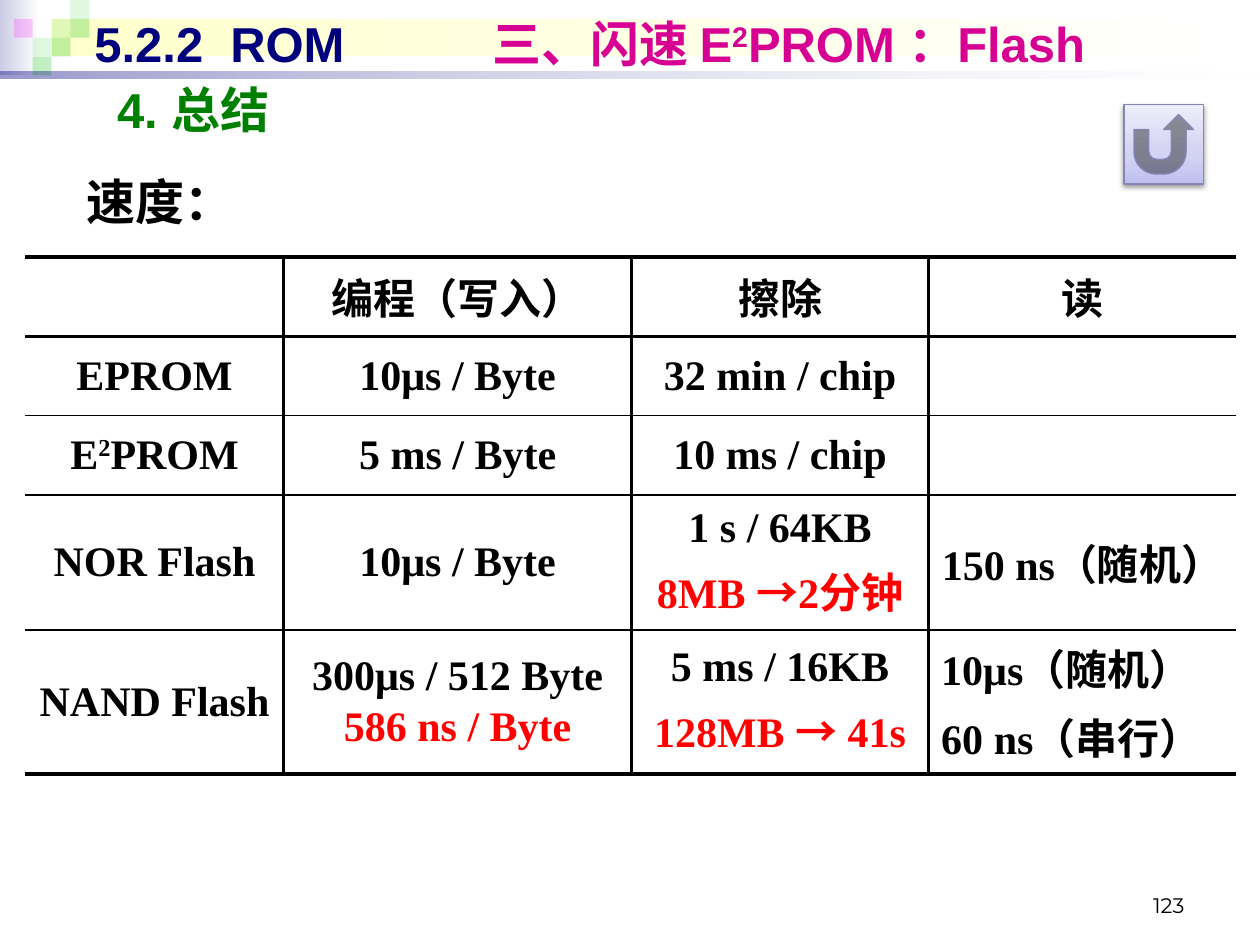
from dataclasses import dataclass
from lxml.etree import SubElement as Sub
from pptx import Presentation
from pptx.dml.color import RGBColor as Rgb
from pptx.enum.shapes import MSO_SHAPE as Kind
from pptx.enum.text import MSO_ANCHOR as Anchor, MSO_AUTO_SIZE as Fit, PP_ALIGN as Align
from pptx.oxml.ns import qn
from pptx.util import Cm, Pt


@dataclass(frozen=True)
class Theme:
    """Colours, fonts and type sizes."""
    black: str = "000000"
    white: str = "FFFFFF"
    navy: str = "00007D"
    pink: str = "D60093"
    green: str = "008000"
    red: str = "FF0000"
    lilac: str = "CCCCE6"
    cream: str = "FFFFCC"
    leaf: str = "33CC33"
    rose: str = "FF00FF"
    edge: str = "8686B6"
    sans: str = "Arial"
    serif: str = "Times New Roman"
    han: str = "Noto Sans CJK SC"
    digit: str = "Montserrat"
    head: int = 28
    body: int = 24
    small: int = 12
    thick: float = 2.25
    thin: float = 1


T = Theme()
HOT = {"color": T.red}
ARROW = {**HOT, "name": T.han}
UP = {"base": 30}


def tint(node, color, alpha=100):
    """Add a colour with its opacity to an XML node."""
    part = Sub(node, qn("a:srgbClr"), val=color)
    if alpha < 100:
        Sub(part, qn("a:alpha"), val=str(alpha * 1000))


def draw(slide, box, stops, angle=0, kind=Kind.RECTANGLE):
    """Draw a shape with a plain or gradient fill and no outline."""
    shape = slide.shapes.add_shape(kind, *map(Cm, box))
    shape.shadow.inherit = False
    shape.line.fill.background()
    props = shape._element.spPr
    if len(stops) == 1:
        fill = Sub(props, qn("a:solidFill"))
        tint(fill, *stops[0][1:])
    else:
        fill = Sub(props, qn("a:gradFill"))
        items = Sub(fill, qn("a:gsLst"))
        for pos, *color in stops:
            tint(Sub(items, qn("a:gs"), pos=str(pos * 1000)), *color)
        Sub(fill, qn("a:lin"), ang=str(angle * 60000), scaled="0")
    props.insert(2, fill)
    return shape


def style(run, name, size, color, bold=True, base=0):
    """Format one run of text."""
    for key, val in {"name": name, "size": Pt(size), "bold": bold}.items():
        setattr(run.font, key, val)
    run.font.color.rgb = Rgb.from_string(color)
    props = run._r.get_or_add_rPr()
    Sub(props, qn("a:ea"), typeface=T.han)
    if base:
        props.set("baseline", str(base * 1000))


def write(frame, paras, look, align=Align.LEFT, gap=0):
    """Fill a text frame with paragraphs of (text, changes) spans."""
    for i, spans in enumerate(paras):
        para = frame.add_paragraph() if i else frame.paragraphs[0]
        para.alignment = align
        if i:
            para.space_before = Pt(gap)
        for text, change in spans:
            run = para.add_run()
            run.text = text
            style(run, **{**look, **change})


def frame_of(shape, anchor):
    """Set up the text frame of a shape."""
    frame = shape.text_frame
    vals = {"word_wrap": True, "auto_size": Fit.NONE, "vertical_anchor": anchor}
    for key, val in vals.items():
        setattr(frame, key, val)
    return frame


def label(slide, box, text, look, anchor=Anchor.TOP, align=Align.LEFT):
    """Place a one-line text box."""
    shape = slide.shapes.add_textbox(*map(Cm, box))
    write(frame_of(shape, anchor), [[(text, {})]], look, align)


def banner(slide, box):
    """Draw the coloured strip and its squares at the top."""
    left, top, width, unit = box
    draw(slide, (left, top, 0.79, 4 * unit), [(0, T.lilac), (100, T.white)])
    draw(slide, (left + 1.04, top + unit, width - 1.14, 2 * unit),
         [(0, T.cream), (100, T.white)])
    cells = [(2, 1, T.leaf, 15), (3, 0, T.leaf, 15), (3, 1, T.leaf, 30),
             (1, 2, T.leaf, 15), (0, 1, T.rose, 20), (2, 2, T.leaf, 30),
             (1, 3, T.leaf, 30)]
    for col, row, color, alpha in cells:
        spot = (left + 0.28 + col * unit, top + row * unit, unit, unit)
        draw(slide, spot, [(0, color, alpha)])
    draw(slide, (left, top + 1.45, width, 0.13),
         [(0, T.navy, 40), (100, T.white, 10)])


def heading(slide, box):
    """Move and fill the title in front of the banner."""
    shape = slide.shapes.title
    for key, val in zip(("left", "top", "width", "height"), box):
        setattr(shape, key, Cm(val))
    pink = {"color": T.pink}
    spans = [("5.2.2\tROM\t", {}), ("三、闪速 E", pink),
             ("2", {**pink, **UP}), ("PROM ：Flash", pink)]
    frame = frame_of(shape, Anchor.MIDDLE)
    tabs = Sub(frame.paragraphs[0]._p.get_or_add_pPr(), qn("a:tabLst"))
    for stop in (2.74, 8.03):
        Sub(tabs, qn("a:tab"), pos=str(Cm(stop)), algn="l")
    write(frame, [spans], {"name": T.sans, "size": T.head, "color": T.navy})
    slide.shapes._spTree.append(shape._element)


def button(slide, box):
    """Draw the return button with its soft shadow."""
    shape = draw(slide, box, [(0, "BFBFF0"), (35, "D2D2F3"), (100, "EDEDFB")],
                 270, Kind.ACTION_BUTTON_RETURN)
    shape.line.color.rgb = Rgb.from_string(T.edge)
    shape.line.width = Pt(0.75)
    effect = shape._element.spPr.find(qn("a:effectLst"))
    shade = Sub(effect, qn("a:outerShdw"), blurRad=str(Pt(3.1)), dist=str(Pt(1.6)),
                dir=str(90 * 60000), rotWithShape="0")
    tint(shade, T.black, 38)


def border(cell, sides):
    """Rule the four sides of a cell; zero leaves a side open."""
    cell.fill.background()
    props = cell._tc.get_or_add_tcPr()
    for i, (side, width) in enumerate(zip("LRTB", sides)):
        line = Sub(props, qn("a:ln" + side), w=str(Pt(width)))
        if width:
            tint(Sub(line, qn("a:solidFill")), T.black)
        else:
            Sub(line, qn("a:noFill"))
        props.insert(i, line)


def speeds(slide, box, data):
    """Build the table of speeds."""
    cols, rows = (5.21, 7.01, 5.99, 6.2), (1.6, 1.6, 1.6, 2.72, 2.9)
    shape = slide.shapes.add_table(len(rows), len(cols), *map(Cm, box))
    table = shape.table
    table.first_row = table.horz_banding = False
    for col, width in zip(table.columns, cols):
        col.width = Cm(width)
    for row, height in zip(table.rows, rows):
        row.height = Cm(height)
    rules = [T.thick, T.thick, T.thin, T.thin, T.thin, T.thick]
    for r, line in enumerate(data):
        for c, paras in enumerate(line):
            cell = table.cell(r, c)
            cell.vertical_anchor = Anchor.MIDDLE
            border(cell, (T.thick * (c > 0), T.thick * (c < 3), rules[r], rules[r + 1]))
            look = {"name": T.serif if r else T.sans, "size": T.body, "color": T.black}
            align = Align.LEFT if (r, c) == (4, 3) else Align.CENTER
            gap = 2.4 if c == 1 else 4.8
            write(cell.text_frame, paras, look, align, gap)


def one(*lines):
    """Turn plain lines into paragraphs."""
    return [[(line, {})] for line in lines]


DATA = [
    [[], one("编程（写入）"), one("擦除"), one("读")],
    [one("EPROM"), one("10μs / Byte"), one("32 min / chip"), []],
    [[[("E", {}), ("2", UP), ("PROM", {})]], one("5 ms / Byte"), one("10 ms / chip"), []],
    [one("NOR Flash"), one("10μs / Byte"),
     one("1 s / 64KB") + [[("8MB ", HOT), ("→", ARROW), ("2分钟", HOT)]],
     one("150 ns（随机）")],
    [one("NAND Flash"), one("300μs / 512 Byte") + [[("586 ns / Byte", HOT)]],
     one("5 ms / 16KB") + [[("128MB ", HOT), ("→", ARROW), (" 41s", HOT)]],
     one("10μs（随机）", "60 ns（串行）")],
]


def main():
    """Build the slide and save it."""
    deck = Presentation()
    deck.slide_width, deck.slide_height = Cm(25.4), Cm(19.05)
    slide = deck.slides.add_slide(deck.slide_layouts[5])
    banner(slide, (0, 0, 25.4, 0.38))
    label(slide, (18.21, 17.73, 5.92, 0.89), "123",
          {"name": T.digit, "size": T.small, "color": T.black, "bold": False},
          Anchor.BOTTOM, Align.RIGHT)
    speeds(slide, (0.51, 5.18, 24.41, 10.42), DATA)
    label(slide, (1.5, 3.33, 5.41, 1.45), "速度：",
          {"name": T.serif, "size": T.head, "color": T.black})
    heading(slide, (1.65, 0.13, 22.86, 1.45))
    label(slide, (2.11, 1.47, 22.6, 1.45), "4. 总结",
          {"name": T.sans, "size": T.head, "color": T.green}, Anchor.MIDDLE)
    button(slide, (22.66, 2.11, 1.6, 1.6))
    deck.save("out.pptx")


if __name__ == "__main__":
    main()
